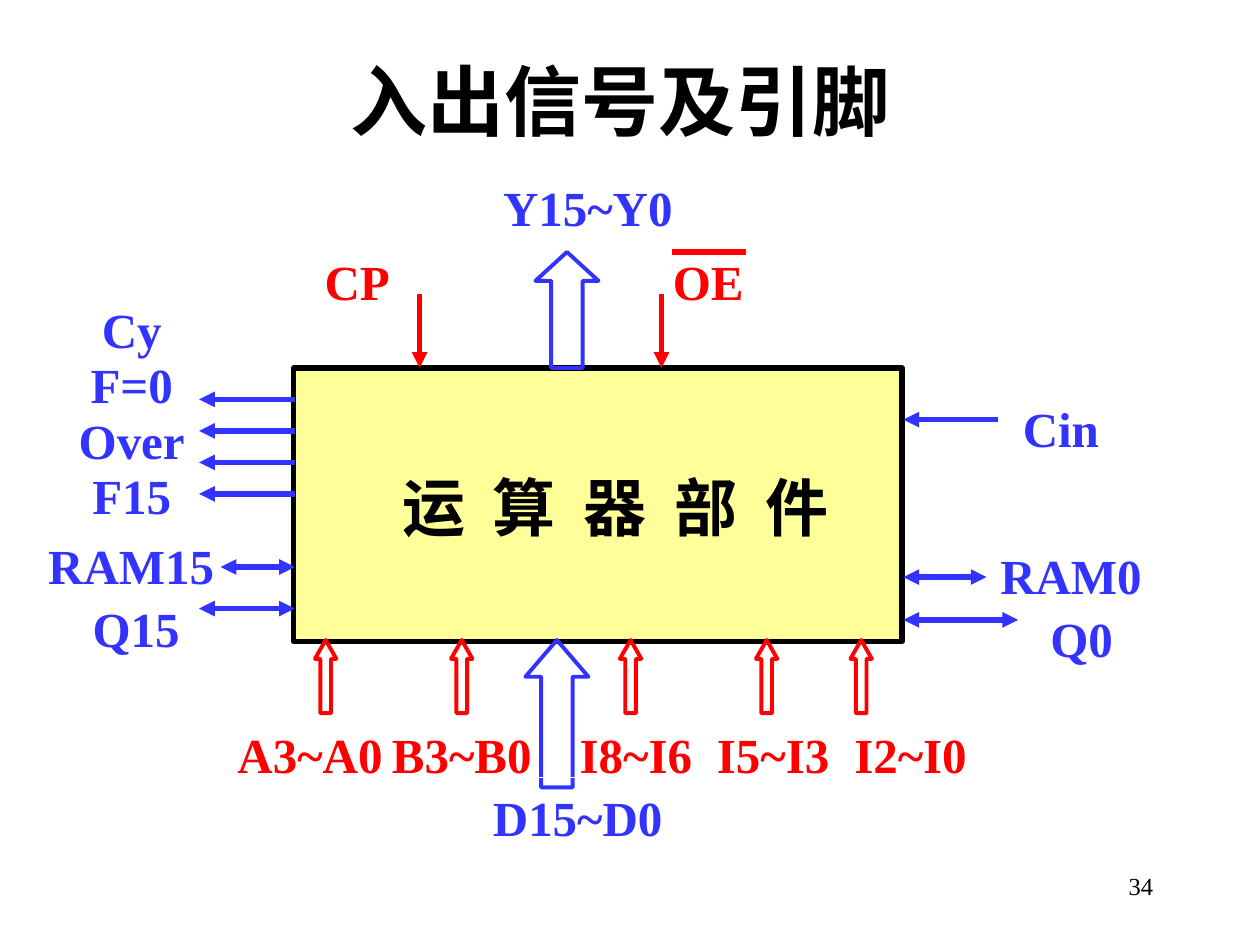
from typing import NamedTuple

from pptx import Presentation
from pptx.dml.color import RGBColor as Rgb
from pptx.enum.shapes import MSO_CONNECTOR as Conn, MSO_SHAPE as Kind
from pptx.enum.text import MSO_ANCHOR as Anchor, PP_ALIGN as Align
from pptx.oxml.ns import qn
from pptx.util import Inches, Pt
from lxml.etree import SubElement as Sub

FONT = "Times New Roman"
HUES = {"black": "000000", "blue": "3333FF", "red": "FF0000",
        "pale": "FFFF99", "white": "FFFFFF"}


class Wire(NamedTuple):
    x1: float
    y1: float
    x2: float
    y2: float
    hue: str = "blue"
    head: bool = False
    tail: bool = True


class Block(NamedTuple):
    x: float
    y: float
    w: float
    h: float
    hue: str
    neck: float


class Label(NamedTuple):
    text: str
    x: float
    y: float
    w: float
    hue: str = "blue"


deck = Presentation()
deck.slide_width, deck.slide_height = Inches(10), Inches(7.5)
slide = deck.slides.add_slide(deck.slide_layouts[6])


def color(name: str) -> Rgb:
    return Rgb.from_string(HUES[name])


def write(text: str, x: float, y: float, w: float, h: float = 0.57, *,
          size: float = 28, hue: str = "blue", bold: bool = True,
          align: Align = Align.CENTER, anchor: Anchor = Anchor.TOP,
          top: float = 0.08, left: float = 0.1, wrap: bool = True,
          lead: float | None = None, gap: float = 0, track: int = 0,
          tabs: tuple = ()):
    box = slide.shapes.add_textbox(Inches(x), Inches(y), Inches(w), Inches(h))
    frame = box.text_frame
    frame.word_wrap, frame.vertical_anchor = wrap, anchor
    frame.margin_top, frame.margin_left = Inches(top), Inches(left)
    for i, line in enumerate(text.split("\n")):
        para = frame.paragraphs[0] if i == 0 else frame.add_paragraph()
        para.alignment = align
        if lead:
            para.line_spacing = lead
        if i and gap:
            para.space_before = Pt(gap)
        if tabs:
            stops = Sub(para._p.get_or_add_pPr(), qn("a:tabLst"))
            for pos in tabs:
                Sub(stops, qn("a:tab"), pos=str(Inches(pos)), algn="l")
        run = para.add_run()
        run.text = line
        font = run.font
        font.name, font.size, font.bold = FONT, Pt(size), bold
        font.color.rgb = color(hue)
        if track:
            run._r.get_or_add_rPr().set("spc", str(track * 100))
    return box


def draw_wire(wire: Wire) -> None:
    ends = [Inches(v) for v in wire[:4]]
    line = slide.shapes.add_connector(Conn.STRAIGHT, *ends)
    line.line.color.rgb, line.line.width = color(wire.hue), Pt(3)
    pen = line.line._get_or_add_ln()
    for tag, shown in (("a:headEnd", wire.head), ("a:tailEnd", wire.tail)):
        if shown:
            Sub(pen, qn(tag), type="triangle")
    Sub(line._element.spPr, qn("a:effectLst"))


def draw_block(block: Block) -> None:
    shape = slide.shapes.add_shape(Kind.UP_ARROW, *[Inches(v) for v in block[:4]])
    shape.shadow.inherit = False
    shape.adjustments[0], shape.adjustments[1] = 0.5, block.neck
    shape.fill.background()
    shape.line.color.rgb, shape.line.width = color(block.hue), Pt(2.25)


def draw_label(label: Label):
    return write(label.text, label.x, label.y, label.w, hue=label.hue)


# Title
write("入出信号及引脚", 0.67, 0.25, 8.51, 1.08, size=44, hue="black",
      anchor=Anchor.MIDDLE, top=0.05)

# Main unit
LEFT, TOP, WIDE, TALL = 2.33, 2.92, 4.83, 2.17
unit = slide.shapes.add_shape(Kind.RECTANGLE, Inches(LEFT), Inches(TOP),
                              Inches(WIDE), Inches(TALL))
unit.shadow.inherit = False
unit.fill.solid()
unit.fill.fore_color.rgb = color("pale")
unit.line.color.rgb, unit.line.width = color("black"), Pt(3)

# Signal lines: flags, carry in, shift pins, clock and enable
RIGHT, FOOT = 7.17, 5.08
flags = [Wire(2.34, 3.17 + 0.25 * i, 1.58, 3.17 + 0.25 * i) for i in range(4)]
shifts = [Wire(x1, y, x2, y, head=True) for x1, x2, y in (
    (7.83, RIGHT, 4.58), (8.08, RIGHT, 4.92),
    (2.34, 1.58, 4.83), (2.34, 1.75, 4.5))]
drops = [Wire(x, 2.33, x, TOP, "red") for x in (3.33, 5.25)]
for wire in [Wire(7.92, 3.33, RIGHT, 3.33), *flags, *shifts, *drops]:
    draw_wire(wire)

# Block arrows: data out, data in, address and control
draw_block(Block(4.25, 2, 0.5, 0.92, "blue", 0.458))
draw_block(Block(4.17, FOOT, 0.5, 1.17, "blue", 0.583))
for x in (2.5, 3.58, 4.92, 6, 6.75):
    draw_block(Block(x, FOOT, 0.17, 0.58, "red", 0.875))

# Pin names
data = draw_label(Label("D15~D0", 3.67, 6.17, 1.83))
data.line.color.rgb, data.line.width = color("white"), Pt(0.75)
for label in (
    Label("Y15~Y0", 3.75, 1.33, 1.83),
    Label("RAM15", 0.25, 4.17, 1.58),
    Label("Q15", 0.58, 4.67, 1),
    Label("RAM0", 7.75, 4.25, 1.5),
    Label("Q0", 8.17, 4.75, 0.83),
    Label("CP", 2.42, 1.92, 0.83, "red"),
    Label("OE", 5.08, 1.92, 1.08, "red"),
    Label("Cin", 7.92, 3.08, 1),
    Label("A3~A0", 1.75, 5.67, 1.42, "red"),
    Label("B3~B0", 3, 5.67, 1.33, "red"),
):
    draw_label(label)
write("I8~I6\tI5~I3\tI2~I0", 4.42, 5.67, 3.42, hue="red", align=Align.LEFT,
      left=0.18, tabs=(1.09, 2.18))
write("Cy\nF=0\nOver\nF15", 0.42, 2.5, 1.25, 1.74, lead=0.5, gap=14.8)

# Bar over OE
draw_wire(Wire(5.33, 2, 5.92, 2, "red", tail=False))

# Unit name and page number
write("运算器部件", 3.03, 3.67, 3.71, 0.7, size=36, hue="black",
      top=0.05, wrap=False, track=16)
write("34", 7.17, 6.83, 2.08, 0.5, size=14, hue="black", bold=False,
      align=Align.RIGHT)

deck.save("out.pptx")
